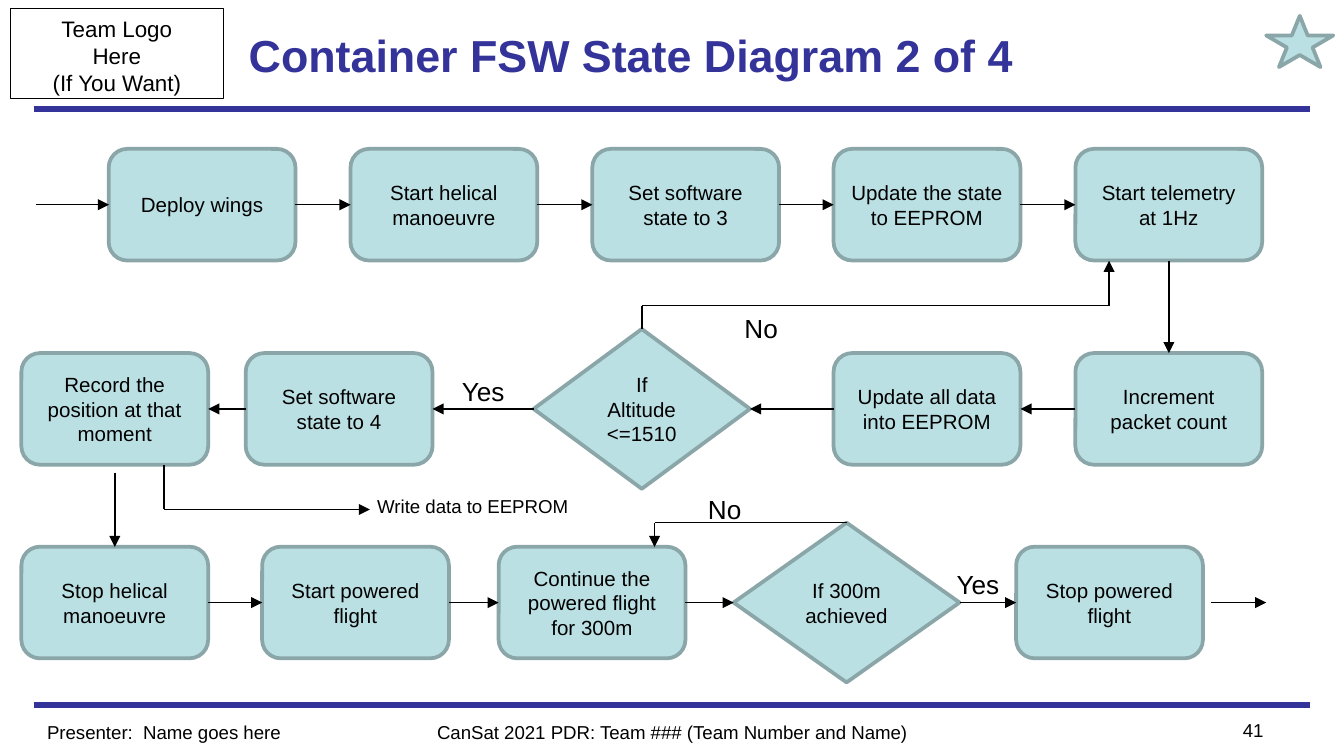
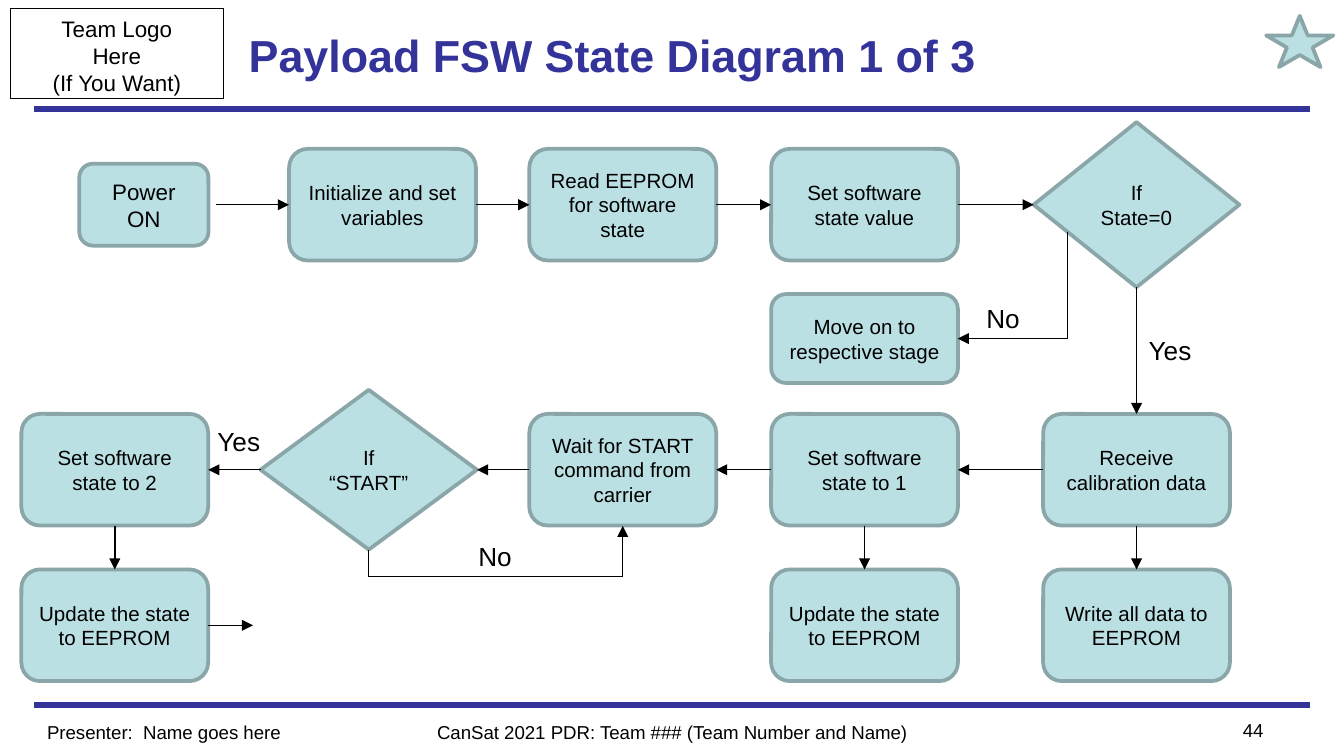
import lxml.etree
import pptx
import pptx.dml.color
import pptx.enum.shapes
import pptx.enum.text
import pptx.oxml.ns
import pptx.util
from dataclasses import dataclass

Cm = pptx.util.Cm
Pt = pptx.util.Pt
qn = pptx.oxml.ns.qn
RGB = pptx.dml.color.RGBColor.from_string
Kind = pptx.enum.shapes.MSO_SHAPE
Align = pptx.enum.text.PP_ALIGN
Anchor = pptx.enum.text.MSO_ANCHOR
STRAIGHT = pptx.enum.shapes.MSO_CONNECTOR.STRAIGHT


@dataclass(frozen=True)
class Theme:
    font: str = "Arial"
    navy: str = "333399"
    ink: str = "000000"
    fill: str = "BBE0E3"
    edge: str = "8AA6A8"
    title: float = 24
    label: float = 14
    logo: float = 12
    node: float = 11
    foot: float = 10
    band: float = 3
    rim: float = 2
    thin: float = 0.75


theme = Theme()

# Node styles: shape, width, height, type size
styles = {
    "box": (Kind.ROUNDED_RECTANGLE, 3.53, 2.11, theme.node),
    "low": (Kind.ROUNDED_RECTANGLE, 3.53, 1.68, theme.node),
    "small": (Kind.ROUNDED_RECTANGLE, 2.44, 1.55, theme.logo),
    "test": (Kind.DIAMOND, 4.09, 3.02, theme.node),
    "wide": (Kind.DIAMOND, 4.27, 3.02, theme.node),
    "tall": (Kind.DIAMOND, 3.89, 3.12, theme.node),
}

# Connection sites: 0 top, 1 left, 2 bottom, 3 right
ways = {">": (3, 1), "<": (1, 3), "v": (2, 0)}

# rows: centre height, then nodes as (key, style, centre across, text)
# chains: nodes joined by arrows; routes: corner points, arrow at the end
# labels: text, left, top, width, type size
pages = [
    {
        "title": "Container FSW State Diagram 2 of 4",
        "number": "41",
        "rows": [
            (3.87, [
                ("wings", "box", 3.82, "Deploy wings"),
                ("turn", "box", 8.39, "Start helical manoeuvre"),
                ("three", "box", 12.96, "Set software state to 3"),
                ("save", "box", 17.52, "Update the state to EEPROM"),
                ("send", "box", 22.09, "Start telemetry at 1Hz"),
            ]),
            (7.73, [
                ("place", "box", 2.17, "Record the position at that moment"),
                ("four", "box", 6.41, "Set software state to 4"),
                ("height", "test", 12.13, "If\nAltitude <=1510"),
                ("store", "box", 17.52, "Update all data into EEPROM"),
                ("count", "box", 22.09, "Increment packet count"),
            ]),
            (11.39, [
                ("halt", "box", 2.17, "Stop helical\nmanoeuvre"),
                ("power", "box", 6.72, "Start powered flight"),
                ("fly", "box", 11.19, "Continue the powered flight for 300m"),
                ("far", "wide", 16, "If 300m achieved"),
                ("stop", "box", 20.97, "Stop powered flight"),
            ]),
        ],
        "chains": [
            "wings > turn > three > save > send v count",
            "count < store < height < four < place",
            "halt > power > fly > far > stop",
        ],
        "routes": [
            [(0.69, 3.87), (2.06, 3.87)],
            [(12.13, 6.22), (12.13, 5.78), (20.96, 5.78), (20.96, 4.93)],
            [(2.17, 8.94), (2.17, 10.34)],
            [(3.1, 8.79), (3.1, 9.63), (6.99, 9.63)],
            [(16, 9.88), (12.37, 9.88), (12.37, 10.34)],
            [(22.89, 11.39), (23.93, 11.39)],
        ],
        "labels": [
            ("Yes", 8.48, 6.96, 1.37, theme.label),
            ("No", 13.82, 5.77, 1.14, theme.label),
            ("No", 13.13, 9.19, 1.14, theme.label),
            ("Yes", 17.83, 10.62, 1.37, theme.label),
            ("Write data to EEPROM", 6.88, 9.22, 4.27, theme.foot),
        ],
    },
    {
        "title": "Payload FSW State Diagram 1 of 3",
        "number": "44",
        "rows": [
            (3.87, [
                ("on", "small", 2.72, "Power ON"),
                ("init", "box", 7.23, "Initialize and set variables"),
                ("read", "box", 11.77, "Read EEPROM for software state"),
                ("set", "box", 16.34, "Set software state value"),
                ("zero", "tall", 21.48, "If\nState=0"),
            ]),
            (6.4, [
                ("move", "low", 16.34, "Move on to respective stage"),
            ]),
            (8.88, [
                ("two", "box", 2.17, "Set software state to 2"),
                ("start", "test", 6.97, "If\n“START”"),
                ("wait", "box", 11.77, "Wait for START command from carrier"),
                ("one", "box", 16.34, "Set software state to 1"),
                ("get", "box", 21.48, "Receive calibration data"),
            ]),
            (11.82, [
                ("last", "box", 2.17, "Update the state to EEPROM"),
                ("save", "box", 16.34, "Update the state to EEPROM"),
                ("write", "box", 21.48, "Write all data to EEPROM"),
            ]),
        ],
        "chains": [
            "init > read > set > zero v get v write",
            "get < one < wait < start < two v last",
            "one v save",
        ],
        "routes": [
            [(4.09, 3.87), (5.46, 3.87)],
            [(3.94, 11.82), (4.78, 11.82)],
            [(6.97, 10.39), (6.97, 10.9), (11.77, 10.9), (11.77, 9.94)],
            [(20.17, 4.39), (20.17, 6.4), (18.1, 6.4)],
        ],
        "labels": [
            ("Yes", 21.46, 6.2, 1.37, theme.label),
            ("Yes", 3.86, 7.92, 1.37, theme.label),
            ("No", 18.39, 5.59, 1.14, theme.label),
            ("No", 8.79, 10.08, 1.14, theme.label),
        ],
    },
]


def write(shape, text, size, align=Align.LEFT, anchor=Anchor.TOP,
          color=theme.ink, bold=False, pad=0.25, wrap=True):
    frame = shape.text_frame
    frame.auto_size = pptx.enum.text.MSO_AUTO_SIZE.NONE
    frame.word_wrap = wrap
    frame.vertical_anchor = anchor
    frame.margin_left = frame.margin_right = Cm(pad)
    frame.margin_top = frame.margin_bottom = Cm(0.13)
    frame.text = text
    for para in frame.paragraphs:
        para.alignment = align
        para.font.name = theme.font
        para.font.size = Pt(size)
        para.font.bold = bold
        para.font.color.rgb = RGB(color)


def draw(slide, start, end, color=theme.ink, width=theme.thin, arrow=False):
    """Add a straight line between two points given in centimetres."""
    line = slide.shapes.add_connector(
        STRAIGHT, *(Cm(value) for value in (*start, *end)))
    line.line.color.rgb = RGB(color)
    line.line.width = Pt(width)
    props = line._element.spPr
    if arrow:
        lxml.etree.SubElement(
            props.find(qn("a:ln")), qn("a:tailEnd"), type="triangle")
    lxml.etree.SubElement(props, qn("a:effectLst"))
    return line


deck = pptx.Presentation()
deck.slide_width = Cm(25.4)
deck.slide_height = Cm(14.29)

for page in pages:
    slide = deck.slides.add_slide(deck.slide_layouts[5])
    shapes = slide.shapes

    # Frame: bands, logo box, title, footers, star
    for y in (13.33, 2.06):
        draw(slide, (0.64, y), (24.76, y), theme.navy, theme.band)

    logo = shapes.add_shape(
        Kind.RECTANGLE, Cm(0.2), Cm(0.16), Cm(4.02), Cm(1.7))
    logo.shadow.inherit = False
    logo.fill.background()
    logo.line.color.rgb = RGB(theme.ink)
    logo.line.width = Pt(theme.thin)
    write(logo, "Team Logo\nHere\n(If You Want)", theme.logo, Align.CENTER)

    title = shapes.title
    title.left, title.top = Cm(4.45), Cm(0.16)
    title.width, title.height = Cm(16.51), Cm(1.75)
    write(title, page["title"], theme.title, anchor=Anchor.MIDDLE,
          color=theme.navy, bold=True)

    for text, x, y, width, align in (
        ("Presenter:  Name goes here", 0.64, 13.49, 6.35, Align.LEFT),
        ("CanSat 2021 PDR: Team ### (Team Number and Name)",
         7.62, 13.49, 10.16, Align.CENTER),
        (page["number"], 22.23, 13.46, 1.9, Align.RIGHT),
    ):
        foot = shapes.add_textbox(Cm(x), Cm(y), Cm(width), Cm(0.51))
        write(foot, text, theme.foot, align)

    star = shapes.add_shape(
        Kind.STAR_5_POINT, Cm(23.93), Cm(0.3), Cm(1.27), Cm(0.97))
    filled = [star]

    # Flow chart nodes
    nodes = {}
    for y, row in page["rows"]:
        for key, style, x, text in row:
            kind, width, height, size = styles[style]
            node = shapes.add_shape(
                kind, Cm(x - width / 2), Cm(y - height / 2),
                Cm(width), Cm(height))
            write(node, text, size, Align.CENTER, Anchor.MIDDLE, pad=0.22)
            nodes[key] = node
            filled.append(node)

    for shape in filled:
        shape.shadow.inherit = False
        shape.fill.solid()
        shape.fill.fore_color.rgb = RGB(theme.fill)
        shape.line.color.rgb = RGB(theme.edge)
        shape.line.width = Pt(theme.rim)

    # Arrows between nodes, then routed lines
    for chain in page["chains"]:
        parts = chain.split()
        for head, way, tail in zip(parts[::2], parts[1::2], parts[2::2]):
            link = draw(slide, (0, 0), (1, 1), arrow=True)
            link.begin_connect(nodes[head], ways[way][0])
            link.end_connect(nodes[tail], ways[way][1])

    for route in page["routes"]:
        for start, end in zip(route, route[1:]):
            draw(slide, start, end, arrow=end == route[-1])

    for text, x, y, width, size in page["labels"]:
        label = shapes.add_textbox(Cm(x), Cm(y), Cm(width), Cm(0.86))
        write(label, text, size, wrap=False)

deck.save("out.pptx")
